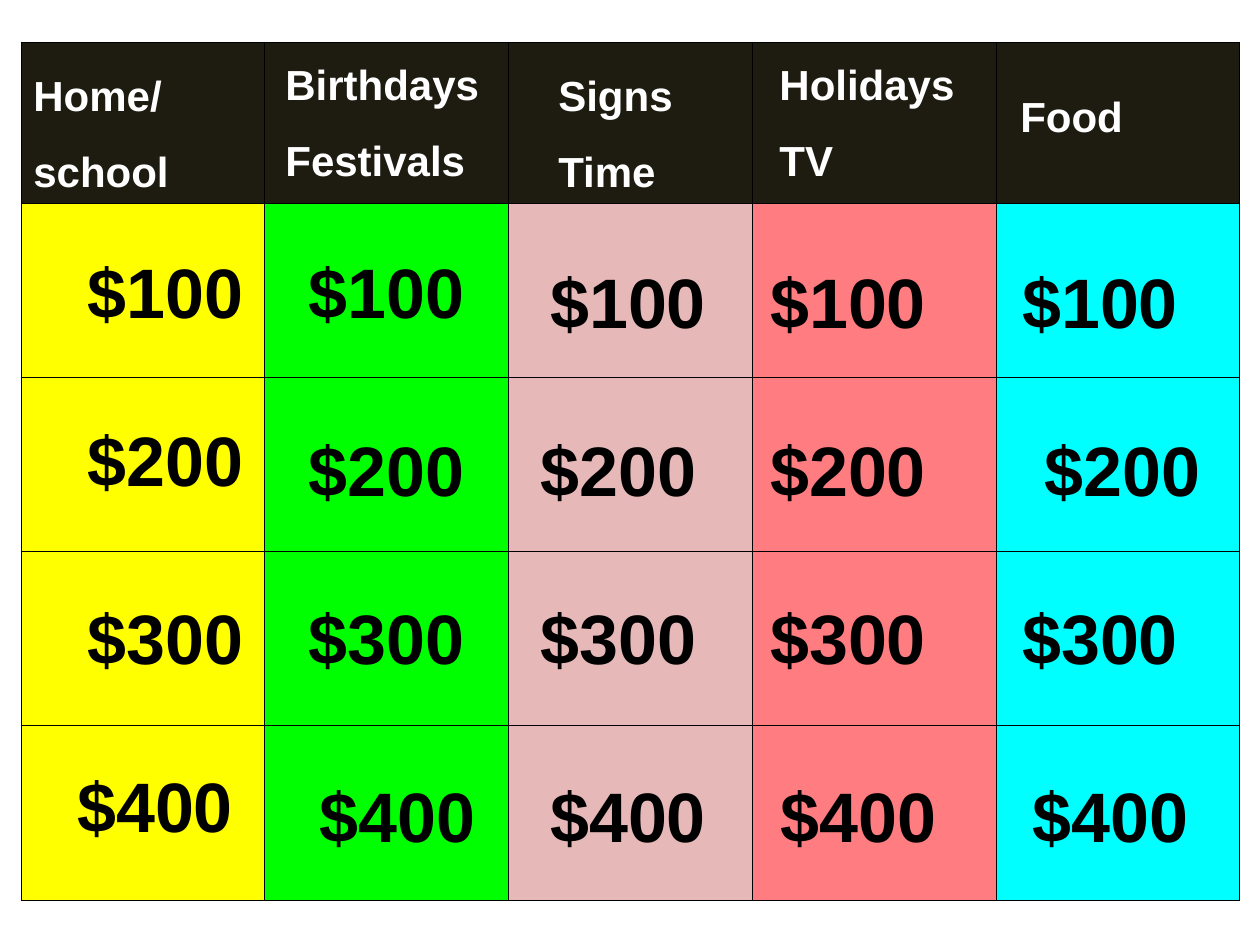
from lxml import etree
from pptx import Presentation
from pptx import util as u
from pptx.dml.color import RGBColor
from pptx.enum import text
from pptx.oxml import ns

COLORS = {
    "black": "000000",
    "white": "FFFFFF",
    "header": "1E1C11",
    "yellow": "FFFF00",
    "green": "00FF00",
    "pink": "E6B9B8",
    "coral": "FF7C80",
    "cyan": "00FFFF",
}
CATEGORY_FILLS = ["yellow", "green", "pink", "coral", "cyan"]
HEADINGS = [
    (["Home/", "school"], 21, 63, 220, 140),
    (["Birthdays", "Festivals"], 273, 52, 231, 140),
    (["Signs", "Time"], 546, 63, 199, 140),
    (["Holidays", "TV"], 767, 52, 210, 140),
    (["Food"], 1008, 84, 199, 63),
]
PRIZES = {
    "$100": [(74, 242), (295, 242), (537, 252), (757, 252), (1009, 252)],
    "$200": [(74, 410), (295, 420), (527, 420), (757, 420), (1031, 420)],
    "$300": [(74, 588), (295, 588), (527, 588), (757, 588), (1009, 588)],
    "$400": [(64, 756), (306, 766), (537, 766), (767, 766), (1019, 766)],
}
PRIZE_SIZE = (182, 97)
PX_PER_INCH = 126


def px(n):
    return u.Emu(round(n * 914400 / PX_PER_INCH))


def rgb(name):
    return RGBColor.from_string(COLORS[name])


class Board:
    font = "Arial"
    border_width = u.Pt(0.45)

    def __init__(self, prs):
        self.s = prs.slides.add_slide(prs.slide_layouts[6])

    def border(self, cell):
        tcPr = cell._tc.get_or_add_tcPr()
        for i, side in enumerate(("lnL", "lnR", "lnT", "lnB")):
            ln = etree.Element(ns.qn(f"a:{side}"), w=str(self.border_width))
            fill = etree.SubElement(ln, ns.qn("a:solidFill"))
            etree.SubElement(fill, ns.qn("a:srgbClr"), val=COLORS["black"])
            tcPr.insert(i, ln)

    def grid(self, left, top, width, height, header, rows, fills):
        frame = self.s.shapes.add_table(
            rows + 1, len(fills), px(left), px(top), px(width), px(height))
        table = frame.table
        for i, row in enumerate(table.rows):
            row.height = px((height - header) / rows) if i else px(header)
            for cell, fill in zip(row.cells, fills):
                cell.fill.solid()
                cell.fill.fore_color.rgb = rgb(fill if i else "header")
                self.border(cell)

    def label(self, lines, left, top, width, height, size, color,
              align=text.PP_ALIGN.LEFT, wrap=True):
        sp = self.s.shapes.add_textbox(px(left), px(top), px(width), px(height))
        tf = sp.text_frame
        tf.word_wrap = wrap
        tf.auto_size = text.MSO_AUTO_SIZE.SHAPE_TO_FIT_TEXT
        style = {"name": self.font, "size": u.Pt(size), "bold": True}
        for i, line in enumerate(lines):
            p = tf.add_paragraph() if i else tf.paragraphs[0]
            p.alignment = align
            if i:
                p.space_before = u.Pt(15)
            r = p.add_run()
            r.text = line
            for key, value in style.items():
                setattr(r.font, key, value)
            r.font.color.rgb = rgb(color)


def main():
    prs = Presentation()
    prs.slide_width, prs.slide_height = px(1260), px(945)
    board = Board(prs)
    board.grid(21, 42, 1219, 858, 161, len(PRIZES), CATEGORY_FILLS)
    for prize, places in PRIZES.items():
        for left, top in places:
            board.label([prize], left, top, *PRIZE_SIZE, 40, "black",
                        align=text.PP_ALIGN.CENTER, wrap=False)
    for lines, *box in HEADINGS:
        board.label(lines, *box, 24, "white")
    prs.save("out.pptx")


if __name__ == "__main__":
    main()
